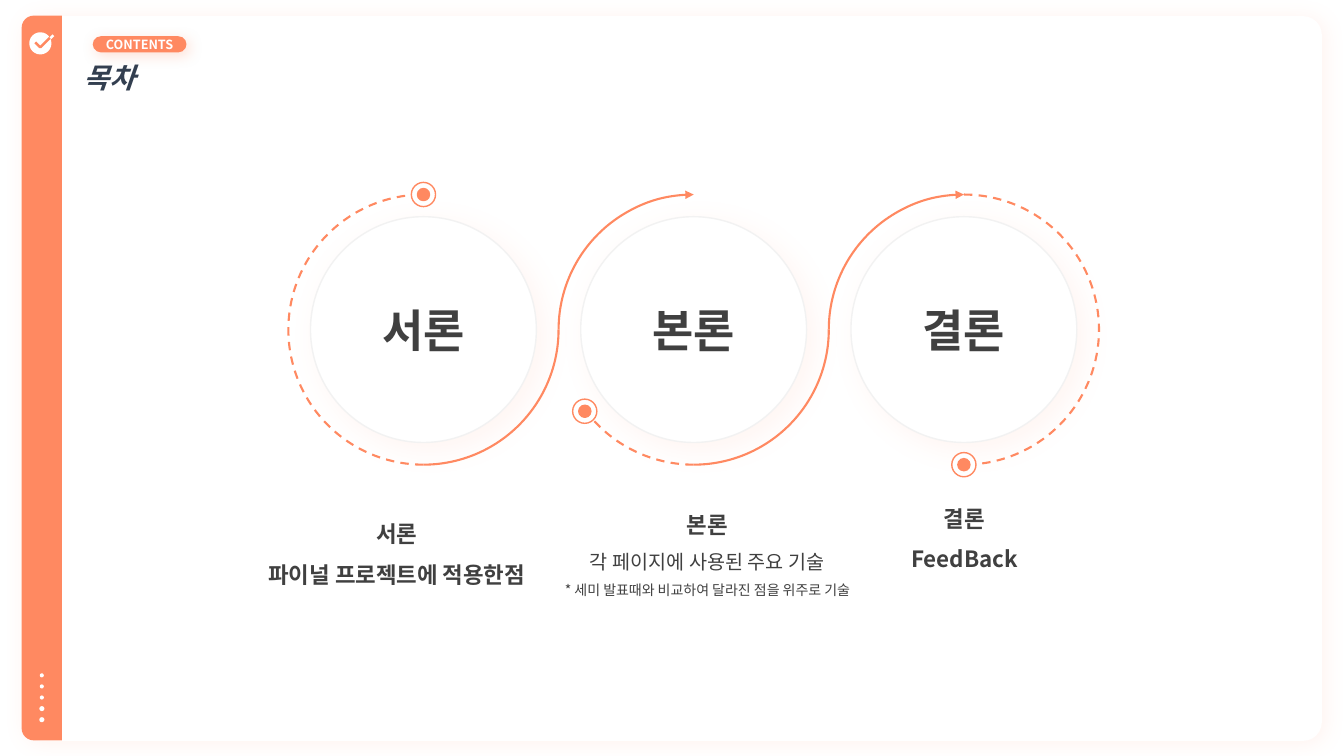
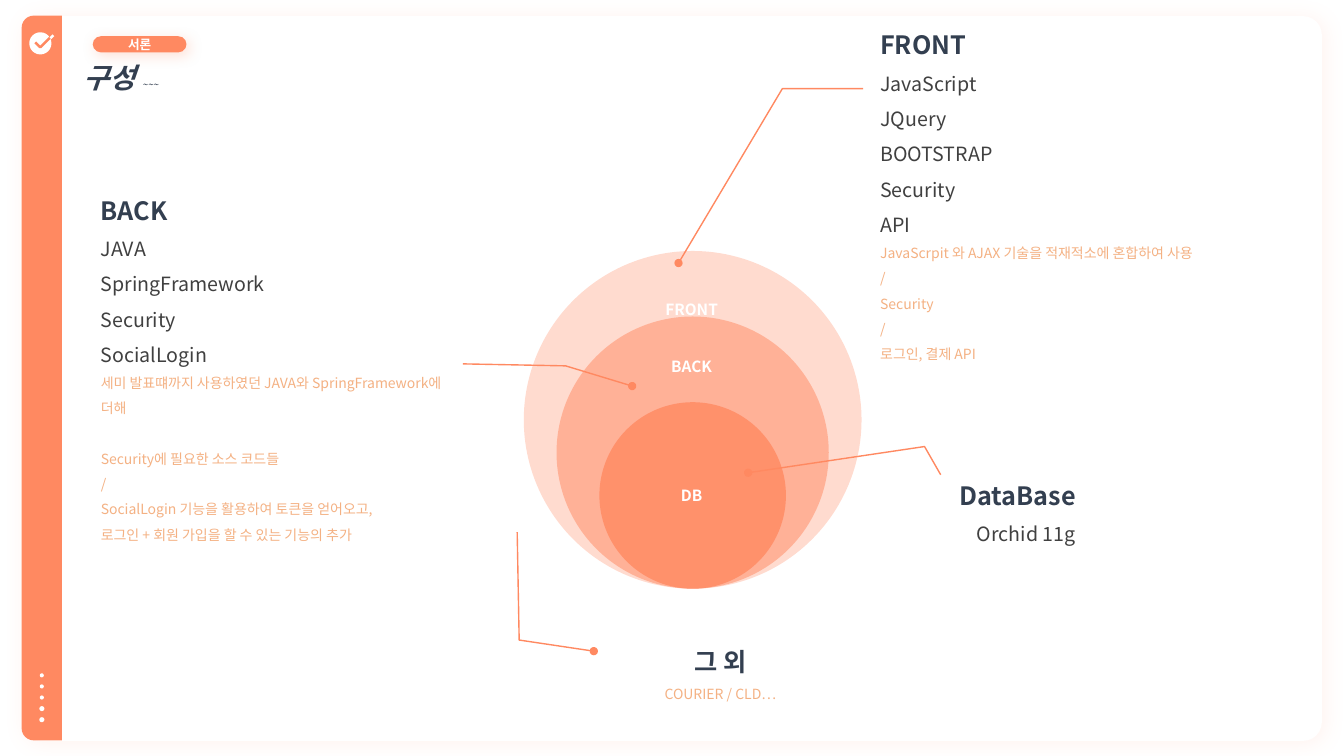
"""Build a two-slide deck: a contents page and a technology overview."""
from pptx import Presentation
from pptx.dml.color import RGBColor
from pptx.enum.dml import MSO_LINE
from pptx.enum.shapes import MSO_SHAPE
from pptx.enum.text import MSO_ANCHOR, MSO_AUTO_SIZE, PP_ALIGN
from pptx.oxml.ns import qn
from pptx.util import Inches, Pt

OVAL = MSO_SHAPE.OVAL
ARC = MSO_SHAPE.ARC
ROUNDED = MSO_SHAPE.ROUNDED_RECTANGLE
ROUNDED_SIDE = MSO_SHAPE.ROUND_2_SAME_RECTANGLE
DASH = MSO_LINE.DASH
LEFT, CENTER, RIGHT = PP_ALIGN.LEFT, PP_ALIGN.CENTER, PP_ALIGN.RIGHT
TOP, MIDDLE = MSO_ANCHOR.TOP, MSO_ANCHOR.MIDDLE
FIXED = MSO_AUTO_SIZE.NONE


class Theme:
    font = "Noto Sans CJK KR"
    accent = "FF8961"
    white = "FFFFFF"
    navy = "333F50"
    dark = "404040"
    pale = "F2F2F2"
    sand = "F4B183"
    text = {
        "title": (20, navy, True, True),
        "subtitle": (7, navy, False, True),
        "badge": (9, white, True, False),
        "circle": (32, dark, True, False),
        "caption": (16, dark, True, False),
        "remark": (10, dark, False, False),
        "heading": (18, navy, True, False),
        "item": (14, dark, False, False),
        "note": (10, sand, False, False),
        "ring": (11, white, True, False),
    }


def paint(shape, fill=None, alpha=None, line=None, width=1, dash=None, tip=None, shadow=None):
    shape.shadow.inherit = False
    if fill:
        shape.fill.solid()
        shape.fill.fore_color.rgb = RGBColor.from_string(fill)
    else:
        shape.fill.background()
    properties = shape._element.spPr
    if alpha:
        color = properties.find(qn("a:solidFill"))[0]
        color.makeelement(qn("a:alpha"), {})
        color.append(color.makeelement(qn("a:alpha"), {"val": str(alpha * 1000)}))
    if line:
        shape.line.color.rgb = RGBColor.from_string(line)
        shape.line.width = Pt(width)
        if dash:
            shape.line.dash_style = dash
        if tip:
            outline = properties.find(qn("a:ln"))
            outline.append(outline.makeelement(qn("a:tailEnd"), {"type": tip}))
    else:
        shape.line.fill.background()
    if shadow:
        opacity, blur, distance = shadow
        effects = properties.find(qn("a:effectLst"))
        outer = effects.makeelement(qn("a:outerShdw"), {
            "blurRad": str(Pt(blur)), "dist": str(Pt(distance)),
            "dir": "2700000", "algn": "tl", "rotWithShape": "0"})
        color = outer.makeelement(qn("a:srgbClr"), {"val": Theme.accent})
        color.append(color.makeelement(qn("a:alpha"), {"val": str(opacity * 1000)}))
        outer.append(color)
        effects.append(outer)


def write(box, paragraphs, align=LEFT, anchor=TOP, spacing=1.0, margin=0.05, wrap=True):
    frame = box.text_frame
    frame.auto_size = FIXED
    frame.word_wrap = wrap
    frame.vertical_anchor = anchor
    frame.margin_left = frame.margin_right = Inches(margin)
    frame.margin_top = frame.margin_bottom = Inches(margin)
    for index, runs in enumerate(paragraphs):
        para = frame.add_paragraph() if index else frame.paragraphs[0]
        para.alignment = align
        para.line_spacing = spacing
        para.space_before = para.space_after = Pt(0)
        settings = para._p.get_or_add_pPr()
        settings.set("marL", "0")
        settings.set("indent", "0")
        settings.append(settings.makeelement(qn("a:buNone"), {}))
        for text, style in runs:
            size, color, bold, italic = Theme.text[style]
            span = para.add_run()
            span.text = text
            span.font.name = Theme.font
            span.font.size = Pt(size)
            span.font.bold = bold
            span.font.italic = italic
            span.font.color.rgb = RGBColor.from_string(color)
            latin = span.font._element.find(qn("a:latin"))
            latin.addnext(latin.makeelement(qn("a:ea"), {"typeface": Theme.font}))


deck = Presentation()
deck.slide_width, deck.slide_height = Inches(13.33), Inches(7.5)

pages = []
for layout, badge, title in (
    (5, "CONTENTS", [("목차", "title")]),
    (3, "서론", [("구성 ", "title"), ("~~~", "subtitle")]),
):
    page = deck.slides.add_slide(deck.slide_layouts[layout])
    shapes = page.shapes
    pages.append(page)

    card = shapes.add_shape(ROUNDED, Inches(0.22), Inches(0.16), Inches(12.89), Inches(7.19))
    card.adjustments[0] = 0.026
    paint(card, Theme.white, shadow=(10, 15, 3))

    band = shapes.add_shape(ROUNDED_SIDE, Inches(-3.18), Inches(3.55), Inches(7.19), Inches(0.4))
    band.adjustments[0] = 0.3
    band.rotation = 270
    paint(band, Theme.accent)

    disc = shapes.add_shape(OVAL, Inches(0.29), Inches(0.32), Inches(0.22), Inches(0.22))
    paint(disc, Theme.white)
    for color, points in (
        (Theme.accent, [(0.35, 0.42), (0.4, 0.47), (0.5, 0.37)]),
        (Theme.white, [(0.5, 0.38), (0.53, 0.35)]),
    ):
        start, *rest = [(Inches(x), Inches(y)) for x, y in points]
        builder = shapes.build_freeform(*start)
        builder.add_line_segments(rest, close=False)
        paint(builder.convert_to_shape(), line=color, width=1.75)

    pill = shapes.add_shape(ROUNDED, Inches(0.92), Inches(0.36), Inches(0.93), Inches(0.16))
    pill.adjustments[0] = 0.5
    paint(pill, Theme.accent, shadow=(25, 10, 3))
    write(pill, [[(badge, "badge")]], CENTER, MIDDLE, margin=0)

    for index in range(5):
        size = 0.05 if index > 2 else 0.04
        dot = shapes.add_shape(OVAL, Inches(0.415 - size / 2),
                               Inches(6.7 + 0.11 * index - size / 2), Inches(size), Inches(size))
        paint(dot, Theme.white)

    heading = shapes.title
    heading.left, heading.top = Inches(0.78), Inches(0.55)
    heading.width, heading.height = Inches(6.68), Inches(0.44)
    write(heading, [title])
    for placeholder in list(page.placeholders):
        shapes._spTree.append(placeholder._element)

contents, overview = pages

shapes = contents.shapes
middle, first, pitch = 3.27, 4.2, 2.68
disc_radius, arc_radius = 1.12, 1.34
for index, label in enumerate(("서론", "본론", "결론")):
    center = first + pitch * index
    circle = shapes.add_shape(OVAL, Inches(center - disc_radius), Inches(middle - disc_radius),
                              Inches(2 * disc_radius), Inches(2 * disc_radius))
    paint(circle, Theme.white, line=Theme.pale, shadow=(8, 20, 7))
    write(circle, [[(label, "circle")]], CENTER, MIDDLE)

for index, begin, end, dash, tip in (
    (0, 90, 270, DASH, None),
    (0, 0, 90, None, None),
    (1, 180, 270, None, "triangle"),
    (1, 90, 145, DASH, None),
    (1, 0, 90, None, None),
    (2, 180, 270, None, "triangle"),
    (2, 270, 90, DASH, None),
):
    center = first + pitch * index
    arc = shapes.add_shape(ARC, Inches(center - arc_radius), Inches(middle - arc_radius),
                           Inches(2 * arc_radius), Inches(2 * arc_radius))
    arc.adjustments[0], arc.adjustments[1] = begin * 0.6, end * 0.6
    paint(arc, line=Theme.accent, width=1.5, dash=dash, tip=tip)

for x, y in ((4.2, 1.93), (5.8, 4.08), (9.56, 4.61)):
    for radius, color in ((0.12, Theme.white), (0.06, Theme.accent)):
        marker = shapes.add_shape(OVAL, Inches(x - radius), Inches(y - radius),
                                  Inches(2 * radius), Inches(2 * radius))
        paint(marker, color, line=Theme.accent)

for left, top, height, paragraphs in (
    (2.34, 4.98, 0.78, [[("서론", "caption")], [("파이널 프로젝트에 적용한점", "caption")]]),
    (7.97, 4.83, 0.76, [[("결론", "caption")], [("FeedBack", "caption")]]),
    (5.42, 4.89, 1.05, [[("본론", "caption")], [("각 페이지에 사용된 주요 기술", "item")],
                        [("* 세미 발표때와 비교하여 달라진 점을 위주로 기술", "remark")]]),
):
    box = shapes.add_textbox(Inches(left), Inches(top), Inches(3.19), Inches(height))
    write(box, paragraphs, CENTER, spacing=1.5)

shapes = overview.shapes
ring_center, ring_bottom = 6.87, 5.84
for label, diameter, alpha, label_middle in (
    ("FRONT", 3.35, 30, 3.07),
    ("BACK", 2.7, 50, 3.63),
    ("DB", 1.85, 80, 4.91),
):
    ring = shapes.add_shape(OVAL, Inches(ring_center - diameter / 2),
                            Inches(ring_bottom - diameter), Inches(diameter), Inches(diameter))
    paint(ring, Theme.accent, alpha=alpha)
    box = shapes.add_textbox(Inches(ring_center - 0.31), Inches(label_middle - 0.09),
                             Inches(0.6), Inches(0.18))
    write(box, [[(label, "ring")]], CENTER, MIDDLE, margin=0, wrap=False)

for points in (
    [(8.56, 0.88), (7.76, 0.88), (6.73, 2.61)],
    [(4.59, 3.61), (5.61, 3.63), (6.27, 3.83)],
    [(9.33, 4.71), (9.17, 4.43), (7.42, 4.69)],
    [(5.13, 5.28), (5.15, 6.35), (5.89, 6.46)],
):
    start, *rest = [(Inches(x), Inches(y)) for x, y in points]
    builder = shapes.build_freeform(*start)
    builder.add_line_segments(rest, close=False)
    paint(builder.convert_to_shape(), line=Theme.accent, tip="oval")

front, back = overview.placeholders[1], overview.placeholders[2]
database = shapes.add_textbox(0, 0, 0, 0)
others = shapes.add_textbox(0, 0, 0, 0)
for box, place, align, heading, items, notes in (
    (front, (8.68, 0.11, 4.98, 3.52), LEFT, "FRONT",
     ["JavaScript", "JQuery", "BOOTSTRAP", "Security", "API"],
     ["JavaScrpit 와 AJAX 기술을 적재적소에 혼합하여 사용", "/", "Security", "/",
      "로그인, 결제 API"]),
    (back, (0.95, 1.86, 3.69, 3.45), LEFT, "BACK",
     ["JAVA", "SpringFramework", "Security", "SocialLogin"],
     ["세미 발표떄까지 사용하였던 JAVA와 SpringFramework에 더해",
      "Security에 필요한 소스 코드들", "/", "SocialLogin 기능을 활용하여 토큰을 얻어오고,",
      "로그인 + 회원 가입을 할 수 있는 기능의 추가"]),
    (database, (7.45, 4.62, 3.27, 0.79), RIGHT, "DataBase", ["Orchid 11g"], []),
    (others, (5.51, 6.24, 3.27, 0.75), CENTER, "그 외", [], ["COURIER / CLD…"]),
):
    box.left, box.top, box.width, box.height = [Inches(length) for length in place]
    paragraphs = [[(heading, "heading")]]
    paragraphs += [[(item, "item")] for item in items]
    paragraphs += [[(note, "note")] for note in notes]
    write(box, paragraphs, align, MIDDLE, spacing=1.5)
back.text_frame.paragraphs[6].space_before = Pt(18)

deck.save("out.pptx")
